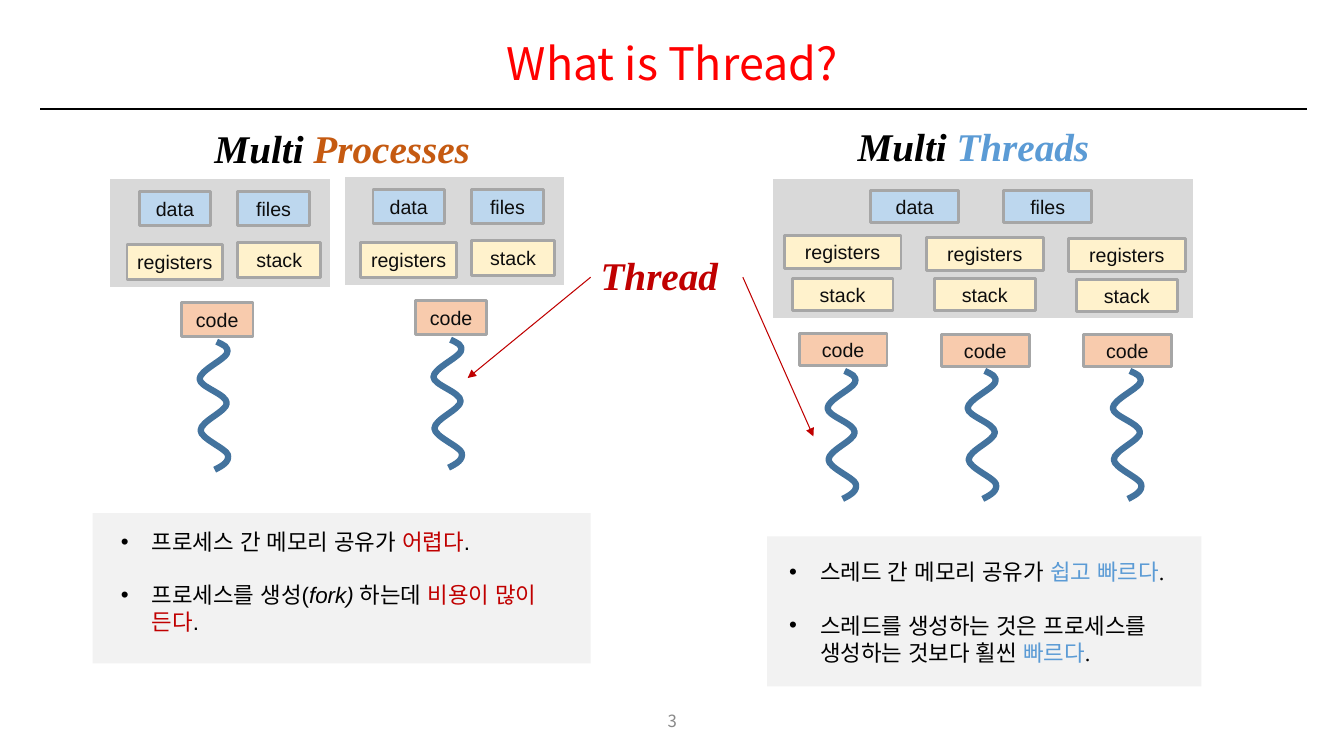
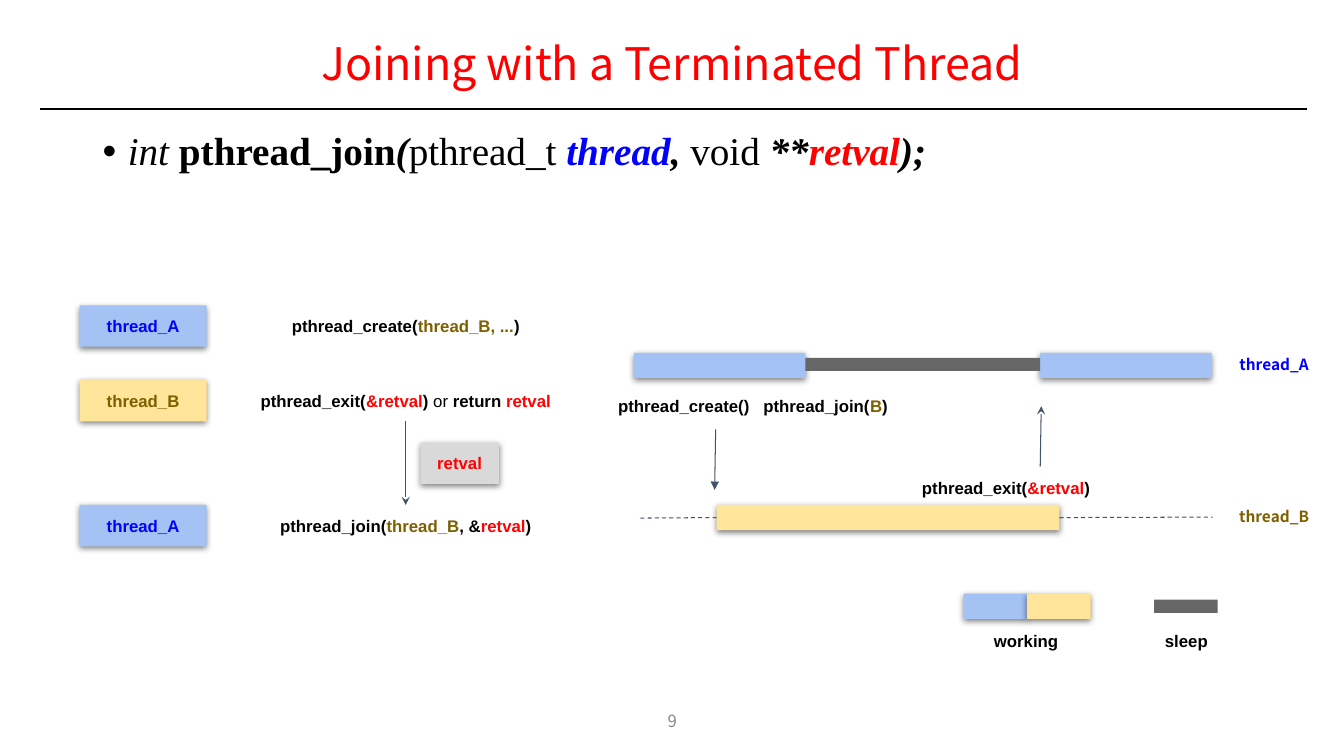
from dataclasses import dataclass
from typing import NamedTuple

from lxml import etree
from pptx import Presentation
from pptx.dml.color import RGBColor
from pptx.enum.dml import MSO_LINE
from pptx.enum.shapes import MSO_CONNECTOR, MSO_SHAPE
from pptx.enum.text import MSO_ANCHOR, PP_ALIGN
from pptx.oxml.ns import qn
from pptx.shapes.autoshape import Shape
from pptx.shapes.connector import Connector
from pptx.slide import Slide
from pptx.util import Inches, Pt

RECTANGLE = MSO_SHAPE.RECTANGLE
STRAIGHT = MSO_CONNECTOR.STRAIGHT
DASH = MSO_LINE.DASH
TOP, MIDDLE = MSO_ANCHOR.TOP, MSO_ANCHOR.MIDDLE
LEFT, CENTER = PP_ALIGN.LEFT, PP_ALIGN.CENTER
SIDE_TOP, SIDE_LEFT, SIDE_BOTTOM, SIDE_RIGHT = range(4)

SANS, SERIF, KOREAN = "Arial", "Times New Roman", "Noto Sans CJK KR"
NO_GRID_STYLE = "{2D5ABB26-0587-4C30-8999-92F81FD0307C}"
COLORS = {
    "black": "000000", "title": "FF0000", "page": "888888", "panel": "F2F2F2",
    "memory": "D9D9D9", "edge": "A6A6A6", "label": "0D0D0D", "shared": "BDD7EE",
    "private": "FFF2CC", "code": "F8CBAD", "wave": "43739E", "process": "C55A11",
    "thread": "5B9BD5", "accent": "C00000", "red": "FF0000", "blue": "0000FF",
    "olive": "7F6000", "a_fill": "A4C2F4", "b_fill": "FFE599", "sleep": "666666",
    "arrow": "44546A",
}
WAVE_CURVES = [
    ((0.06, 0.03), (0.13, 0.05), (0.10, 0.12)),
    ((0.07, 0.18), (-0.17, 0.29), (-0.17, 0.37)),
    ((-0.17, 0.45), (0.10, 0.52), (0.10, 0.61)),
    ((0.10, 0.69), (-0.16, 0.79), (-0.16, 0.88)),
    ((-0.16, 0.96), (0.09, 1.06), (0.11, 1.12)),
    ((0.13, 1.19), (0.06, 1.23), (-0.02, 1.27)),
]


class Box(NamedTuple):
    left: float
    top: float
    width: float
    height: float


class Point(NamedTuple):
    x: float
    y: float


@dataclass(frozen=True)
class Run:
    text: str
    color: str = "black"
    bold: bool = False
    italic: bool = False


@dataclass(frozen=True)
class ThreadColumn:
    left: float
    registers_top: float
    stack_top: float
    code_top: float
    wave_left: float


THREAD_COLUMNS = [
    ThreadColumn(7.78, 2.34, 2.76, 3.31, 8.38),
    ThreadColumn(9.19, 2.36, 2.76, 3.32, 9.77),
    ThreadColumn(10.6, 2.37, 2.77, 3.32, 11.21),
]


def rgb(name: str) -> RGBColor:
    return RGBColor.from_string(COLORS[name])


def emu(values: tuple) -> list[int]:
    return [Inches(value) for value in values]


def write(shape: Shape, *paragraphs: list[Run], font: str = SANS, size: float = 12,
          align: PP_ALIGN = CENTER, anchor: MSO_ANCHOR = MIDDLE,
          inset: tuple[float, float] = (0, 0), line_spacing: float = 1,
          gap: float = 0, indent: float = 0) -> Shape:
    frame = shape.text_frame
    frame.word_wrap = True
    frame.vertical_anchor = anchor
    frame.margin_left = frame.margin_right = Inches(inset[0])
    frame.margin_top = frame.margin_bottom = Inches(inset[1])
    east_asian = KOREAN if font == KOREAN else SANS
    for index, runs in enumerate(paragraphs):
        paragraph = frame.add_paragraph() if index else frame.paragraphs[0]
        paragraph.alignment = align
        paragraph.line_spacing = line_spacing
        paragraph.space_before = Pt(gap if index else 0)
        if indent:
            properties = paragraph._p.get_or_add_pPr()
            properties.set("marL", str(Inches(indent)))
            properties.set("indent", str(-Inches(indent)))
            etree.SubElement(properties, qn("a:buFont"), typeface=SANS)
            etree.SubElement(properties, qn("a:buChar"), char="•")
        for part in runs:
            run = paragraph.add_run()
            run.text = part.text
            run.font.name = font
            run.font.size = Pt(size)
            run.font.bold = part.bold
            run.font.italic = part.italic
            run.font.color.rgb = rgb(part.color)
            latin = run._r.rPr.find(qn("a:latin"))
            latin.addnext(latin.makeelement(qn("a:ea"), {"typeface": east_asian}))
    return shape


def add_text(slide: Slide, box: Box, *paragraphs: list[Run], **text_format) -> Shape:
    return write(slide.shapes.add_textbox(*emu(box)), *paragraphs, **text_format)


def add_block(slide: Slide, box: Box, fill: str, edge: str = "",
              shadow: bool = False) -> Shape:
    block = slide.shapes.add_shape(RECTANGLE, *emu(box))
    block.fill.solid()
    block.fill.fore_color.rgb = rgb(fill)
    if edge:
        block.line.color.rgb = rgb(edge)
        block.line.width = Pt(2)
    else:
        block.line.fill.background()
    block.shadow.inherit = False
    if shadow:
        effects = block.element.spPr.find(qn("a:effectLst"))
        outer = etree.SubElement(effects, qn("a:outerShdw"), blurRad=str(Pt(4.5)),
                                 dist=str(Pt(1.5)), dir="5400000", rotWithShape="0")
        color = etree.SubElement(outer, qn("a:srgbClr"), val=COLORS["black"])
        etree.SubElement(color, qn("a:alpha"), val="50000")
    return block


def add_part(slide: Slide, box: Box, name: str, fill: str) -> None:
    write(add_block(slide, box, fill, edge="edge"), [Run(name, "label")], size=14)


def add_line(slide: Slide, start: Point, end: Point, color: str, width: float = 0.75,
             head: str = "", tail: str = "", dashed: bool = False) -> Connector:
    line = slide.shapes.add_connector(STRAIGHT, *emu(start + end))
    line.line.color.rgb = rgb(color)
    line.line.width = Pt(width)
    if dashed:
        line.line.dash_style = DASH
    properties = line.element.spPr
    outline = properties.find(qn("a:ln"))
    for tag, arrow in (("a:headEnd", head), ("a:tailEnd", tail)):
        if arrow:
            etree.SubElement(outline, qn(tag), type=arrow)
    etree.SubElement(properties, qn("a:effectLst"))
    return line


def add_wave(slide: Slide, start: Point) -> None:
    builder = slide.shapes.build_freeform(*emu(start))
    turns = [(Inches(start.x + x), Inches(start.y + y)) for _, _, (x, y) in WAVE_CURVES]
    builder.add_line_segments(turns, close=False)
    wave = builder.convert_to_shape()
    left = Inches(start.x) - wave.left
    top = Inches(start.y) - wave.top
    segments = list(wave.element.spPr.iter(qn("a:lnTo")))
    for segment, controls in zip(segments, WAVE_CURVES):
        curve = segment.makeelement(qn("a:cubicBezTo"), {})
        for x, y in controls:
            etree.SubElement(curve, qn("a:pt"), x=str(left + Inches(x)),
                             y=str(top + Inches(y)))
        segment.getparent().replace(segment, curve)
    wave.fill.background()
    wave.line.color.rgb = rgb("wave")
    wave.line.width = Pt(4.5)
    wave.shadow.inherit = False


def add_memory(slide: Slide, box: Box, columns: int, heights: list[float]) -> None:
    frame = slide.shapes.add_table(len(heights), columns, *emu(box))
    table = frame.table
    table.first_row = table.horz_banding = False
    table._tbl.tblPr.find(qn("a:tableStyleId")).text = NO_GRID_STYLE
    for row_index, height in enumerate(heights):
        table.rows[row_index].height = Inches(height)
        for cell in table.rows[row_index].cells:
            if row_index < 2:
                cell.fill.solid()
                cell.fill.fore_color.rgb = rgb("memory")
            else:
                cell.fill.background()
    if columns > 1:
        table.cell(0, 0).merge(table.cell(0, columns - 1))


def add_process(slide: Slide, memory: Point, parts: Point, wave_row: float) -> None:
    add_memory(slide, Box(*memory, 2.18, 1.07 + wave_row), 1, [0.53, 0.54, wave_row])
    for name, x, y, width, fill in (
        ("data", 0.29, 0.12, 0.71, "shared"),
        ("files", 1.27, 0.12, 0.71, "shared"),
        ("registers", 0.17, 0.65, 0.95, "private"),
        ("stack", 1.27, 0.63, 0.82, "private"),
        ("code", 0.71, 1.22, 0.71, "code"),
    ):
        add_part(slide, Box(parts.x + x, parts.y + y, width, 0.34), name, fill)
    add_wave(slide, Point(parts.x + 1.06, parts.y + 1.61))


def add_base(deck: Presentation, title: str, page: str) -> Slide:
    slide = deck.slides.add_slide(deck.slide_layouts[6])
    add_text(slide, Box(0.92, 0.29, 11.5, 0.73), [Run(title, "title")], font=KOREAN,
             size=32, line_spacing=0.9, inset=(0.1, 0.05))
    add_line(slide, Point(0.4, 1.08), Point(12.97, 1.08), "black", 1.5)
    add_text(slide, Box(5.17, 6.95, 3, 0.4), [Run(page, "page")], font=KOREAN)
    return slide


def build_comparison(deck: Presentation) -> None:
    slide = add_base(deck, "What is Thread?", "3")
    heading = dict(font=SERIF, size=28, align=LEFT, anchor=TOP,
                   inset=(0.1, 0.05), line_spacing=0.9)
    notes = dict(size=16, align=LEFT, anchor=TOP, inset=(0.1, 0.05), gap=19, indent=0.31)
    for box in (Box(7.61, 5.32, 4.31, 1.49), Box(0.92, 5.09, 4.94, 1.49)):
        add_block(slide, box, "panel")
    for box, word, color in ((Box(2.03, 1.24, 2.8, 0.58), "Processes", "process"),
                             (Box(8.41, 1.22, 2.8, 0.58), "Threads", "thread")):
        add_text(slide, box, [Run("Multi ", "black", True, True),
                              Run(word, color, True, True)], **heading)

    add_process(slide, Point(1.09, 1.78), Point(1.09, 1.78), 2.1)
    add_process(slide, Point(3.42, 1.76), Point(3.41, 1.76), 2.14)

    add_memory(slide, Box(7.67, 1.78, 4.17, 3.43), 3, [0.51, 0.87, 2.05])
    for name, left in (("data", 8.64), ("files", 9.96)):
        add_part(slide, Box(left, 1.89, 0.87, 0.32), name, "shared")
    for column in THREAD_COLUMNS:
        for name, x, top, width, fill in (
            ("registers", 0, column.registers_top, 1.16, "private"),
            ("stack", 0.08, column.stack_top, 1, "private"),
            ("code", 0.15, column.code_top, 0.87, "code"),
        ):
            add_part(slide, Box(column.left + x, top, width, 0.32), name, fill)
        add_wave(slide, Point(column.wave_left, 3.68))

    thread = add_text(slide, Box(5.86, 2.5, 1.51, 0.5),
                      [Run("Thread", "accent", True, True)], **heading)
    for start, end, side in ((Point(5.86, 2.75), Point(4.64, 3.75), SIDE_LEFT),
                             (Point(7.37, 2.75), Point(8.07, 4.33), SIDE_RIGHT)):
        add_line(slide, start, end, "accent", tail="triangle").begin_connect(thread, side)

    add_text(slide, Box(1.1, 5.19, 4.76, 1.18),
             [Run("프로세스 간 메모리 공유가 "), Run("어렵다", "accent"), Run(".")],
             [Run("프로세스를 생성("), Run("fork) ", italic=True), Run("하는데 "),
              Run("비용이 많이 든다", "accent"), Run(".")], **notes)
    add_text(slide, Box(7.73, 5.49, 4.26, 1.18),
             [Run("스레드 간 메모리 공유가 "), Run("쉽고 빠르다", "thread"), Run(".")],
             [Run("스레드를 생성하는 것은 프로세스를 생성하는 것보다 횔씬 "),
              Run("빠르다", "thread"), Run(".")], font=SERIF, **notes)


def build_joining(deck: Presentation) -> None:
    slide = add_base(deck, "Joining with a Terminated Thread", "9")
    add_text(slide, Box(0.92, 1.26, 11.5, 0.58), [
        Run("int ", italic=True), Run("pthread_join", bold=True), Run("(", "black", True, True),
        Run("pthread_t "), Run("thread", "blue", True, True), Run(", ", "black", True, True),
        Run("void"), Run(" **", "black", True, True), Run("retval", "red", True, True),
        Run(");", "black", True, True),
    ], font=SERIF, size=28, align=LEFT, anchor=TOP, inset=(0.1, 0.05),
        line_spacing=0.9, indent=0.25)

    for name, box, fill, color in (
        ("thread_A", Box(0.79, 3.03, 1.26, 0.41), "a_fill", "blue"),
        ("thread_B", Box(0.79, 3.77, 1.26, 0.41), "b_fill", "olive"),
        ("thread_A", Box(0.79, 5.01, 1.26, 0.41), "a_fill", "blue"),
        ("retval", Box(4.17, 4.39, 0.78, 0.41), "memory", "red"),
    ):
        write(add_block(slide, box, fill, shadow=True), [Run(name, color, True)])

    close = Run(")", bold=True)
    add_text(slide, Box(2.15, 3.03, 3.75, 0.41),
             [Run("pthread_create(", bold=True), Run("thread_B, ...", "olive", True), close])
    exit_call = add_text(slide, Box(2.15, 3.77, 3.75, 0.41), [
        Run("pthread_exit(", bold=True), Run("&retval", "red", True), Run(") ", bold=True),
        Run("or "), Run("return ", bold=True), Run("retval", "red", True)])
    join_call = add_text(slide, Box(2.58, 5.01, 2.89, 0.41), [
        Run("pthread_join(", bold=True), Run("thread_B", "olive", True),
        Run(", &", bold=True), Run("retval", "red", True), close])
    handover = add_line(slide, Point(4.02, 4.18), Point(4.02, 5.01), "arrow", tail="stealth")
    handover.begin_connect(exit_call, SIDE_BOTTOM)
    handover.end_connect(join_call, SIDE_TOP)

    for left, top, width, fill in (
        (10.32, 3.5, 1.7, "a_fill"), (6.29, 3.5, 1.7, "a_fill"),
        (9.56, 5.89, 0.63, "a_fill"), (10.19, 5.89, 0.63, "b_fill"),
    ):
        add_block(slide, Box(left, top, width, 0.25), fill, shadow=True)
    for box in (Box(7.99, 3.55, 2.33, 0.13), Box(11.45, 5.95, 0.63, 0.13)):
        add_block(slide, box, "sleep")
    b_work = add_block(slide, Box(7.11, 5.01, 3.4, 0.25), "b_fill", shadow=True)
    for start, end, side in ((Point(7.11, 5.14), Point(6.32, 5.14), SIDE_LEFT),
                             (Point(10.51, 5.14), Point(12.03, 5.13), SIDE_RIGHT)):
        add_line(slide, start, end, "arrow", dashed=True).begin_connect(b_work, side)
    add_line(slide, Point(7.1, 4.26), Point(7.09, 4.86), "arrow", tail="triangle")
    add_line(slide, Point(10.33, 4.03), Point(10.32, 4.63), "arrow", head="stealth")

    add_text(slide, Box(5.77, 3.82, 3.4, 0.41), [
        Run("pthread_create()   pthread_join(", bold=True), Run("B", "olive", True), close])
    add_text(slide, Box(9.04, 4.63, 1.88, 0.41),
             [Run("pthread_exit(", bold=True), Run("&retval", "red", True), close])
    for name, top, color in (("thread_A", 3.42, "blue"), ("thread_B", 4.93, "olive")):
        add_text(slide, Box(12.18, top, 0.92, 0.39), [Run(name, color, True)],
                 font=KOREAN, size=11)
    for name, left in (("working", 9.72), ("sleep", 11.31)):
        add_text(slide, Box(left, 6.15, 0.92, 0.41), [Run(name, bold=True)])


def main() -> None:
    deck = Presentation()
    deck.slide_height = Inches(7.5)
    deck.slide_width = Inches(7.5 * 16 / 9)
    build_comparison(deck)
    build_joining(deck)
    deck.save("out.pptx")


if __name__ == "__main__":
    main()
